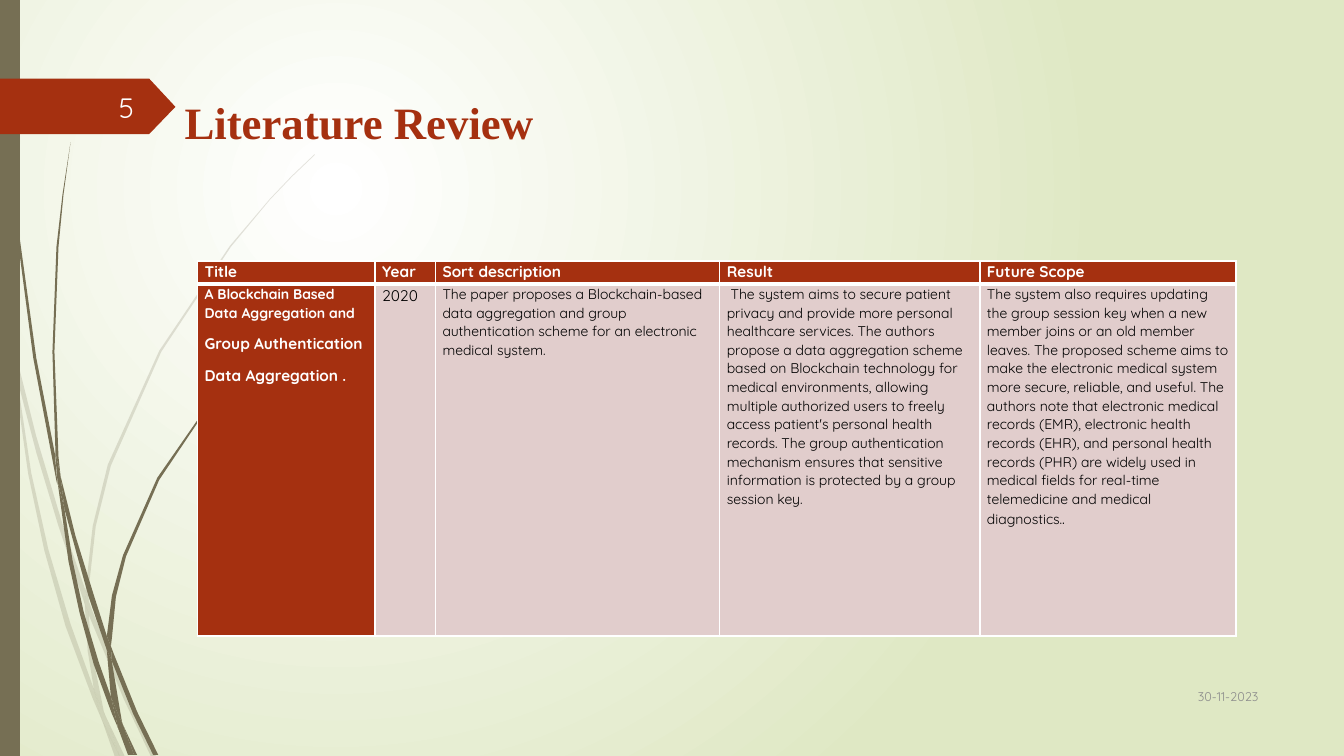
from lxml import etree
from pptx import Presentation
from pptx.dml.color import RGBColor
from pptx.enum.text import MSO_ANCHOR, MSO_AUTO_SIZE, PP_ALIGN
from pptx.oxml.ns import qn
from pptx.util import Inches, Pt

RUST = RGBColor(0xA5, 0x30, 0x10)
OLIVE = RGBColor(0x76, 0x6F, 0x54)
ROSE = RGBColor(0xE1, 0xCD, 0xCC)
PALE_GREEN = RGBColor(0xDF, 0xE8, 0xC4)
WHITE = RGBColor(0xFF, 0xFF, 0xFF)
OFF_WHITE = RGBColor(0xFE, 0xFF, 0xFF)
GREY = RGBColor(0x8C, 0x8C, 0x8C)
BLACK = RGBColor(0, 0, 0)

# Outlines of the grass blades, as corner points in inches
FADED_BLADES = [
    [(0.11, 3.5), (0.09, 3.22), (0, 2.82), (0, 2.99), (0.1, 3.44)],
    [(0.58, 5.22), (0.84, 5.99), (0.85, 5.86), (0.62, 5.2), (0.36, 4.33),
     (0.14, 3.45), (0.17, 3.76), (0.36, 4.49)],
    [(0.92, 6.07), (0.88, 5.96), (0.88, 6.1), (1.23, 6.94), (1.5, 7.51),
     (1.55, 7.51), (1.27, 6.92)],
    [(1.19, 7.51), (1.24, 7.51), (1.05, 7.11)],
    [(0.93, 6.83), (0.7, 6.19), (0.48, 5.45), (0.31, 4.69), (0.17, 3.76),
     (0.11, 3.5), (0.28, 4.7), (0.44, 5.46), (0.65, 6.21), (0.92, 6.93),
     (1.01, 7.14), (0.99, 7.07)],
    [(0.84, 5.99), (0.87, 6.46), (0.93, 6.83), (0.96, 6.92), (1.05, 7.11),
     (1.03, 7.06), (0.91, 6.46), (0.88, 6.1), (0.88, 6.08)],
    [(0.88, 5.84), (0.95, 5.22), (1.1, 4.62), (1.6, 3.49), (2.29, 2.45),
     (2.68, 1.98), (2.9, 1.75), (3.12, 1.54), (3.12, 1.53), (2.89, 1.75),
     (2.68, 1.97), (2.28, 2.44), (1.58, 3.48), (1.07, 4.61), (0.92, 5.22),
     (0.85, 5.84), (0.85, 5.86), (0.88, 5.96)],
    [(1.01, 7.14), (1.14, 7.51), (1.19, 7.51)],
    [(0.88, 6.08), (0.88, 6.1), (0.88, 5.96), (0.85, 5.86), (0.84, 5.99)],
    [(0.96, 6.92), (0.93, 6.83), (0.99, 7.07), (1.01, 7.14), (1.19, 7.51),
     (1.05, 7.11)],
]
SOLID_BLADES = [
    [(0.07, 1.1), (0.17, 2.33), (0.33, 3.55), (0.56, 4.77), (0.57, 4.81),
     (0.55, 4.57), (0.55, 4.53), (0.36, 3.55), (0.19, 2.32), (0.08, 1.09),
     (0.05, 0.48), (0.04, 0), (0.03, 0), (0.04, 0.48)],
    [(0.88, 5.92), (1.06, 6.45), (1.06, 6.33), (1.06, 6.31), (0.93, 5.9),
     (0.75, 5.32), (0.6, 4.72), (0.64, 5.05), (0.76, 5.49)],
    [(1.13, 6.49), (1.1, 6.41), (1.11, 6.56), (1.32, 7.08), (1.52, 7.49),
     (1.57, 7.49), (1.36, 7.06)],
    [(1.1, 6.91), (0.98, 6.57), (0.83, 6.07), (0.72, 5.56), (0.64, 5.05),
     (0.57, 4.77), (0.68, 5.57), (0.79, 6.08), (0.93, 6.59), (1.11, 7.08),
     (1.17, 7.22), (1.16, 7.17)],
    [(0.6, 4.72), (0.58, 4.53), (0.54, 3.49), (0.58, 2.45), (0.63, 1.93),
     (0.7, 1.41), (0.62, 1.93), (0.56, 2.45), (0.52, 3.49), (0.55, 4.49)],
    [(1.33, 7.49), (1.36, 7.49), (1.22, 7.19)],
    [(0.57, 4.77), (0.64, 5.05), (0.6, 4.72), (0.55, 4.49), (0.55, 4.53)],
    [(1.11, 6.33), (1.15, 5.92), (1.25, 5.52), (1.58, 4.76), (2.05, 4.06),
     (2.31, 3.74), (2.45, 3.59), (2.61, 3.44), (2.6, 3.44), (2.45, 3.58),
     (2.31, 3.73), (2.04, 4.05), (1.56, 4.74), (1.22, 5.51), (1.11, 5.91),
     (1.06, 6.31), (1.1, 6.41)],
    [(1.17, 7.22), (1.27, 7.49), (1.31, 7.49)],
    [(1.06, 6.45), (1.1, 6.91), (1.16, 7.06), (1.22, 7.19), (1.21, 7.16),
     (1.11, 6.56), (1.09, 6.51)],
    [(1.06, 6.45), (1.09, 6.51), (1.11, 6.56), (1.1, 6.41), (1.06, 6.31)],
    [(1.16, 7.06), (1.1, 6.91), (1.16, 7.17), (1.17, 7.22), (1.3, 7.49),
     (1.33, 7.49), (1.22, 7.19)],
]
SIDE_BAR = [(0, 0), (0.2, 0), (0.2, 7.5), (0, 7.5)]
PAGE_FLAG = [(0, 0.78), (1.48, 0.78), (1.74, 1.06), (1.48, 1.33), (0, 1.33)]

# Each cell is a list of paragraphs, each paragraph a list of (text, size)
HEADINGS = ["Title", "Year", "Sort description", "Result", "Future Scope"]
REVIEW = [
    [[("A Blockchain Based Data Aggregation and", 10)],
     [("Group Authentication", 11)],
     [("Data Aggregation .", 11)]],
    [[("2020", 11)]],
    [[("The paper proposes a Blockchain-based data aggregation and group "
       "authentication scheme for an electronic medical system.", 10)]],
    [[(" The system aims to secure patient privacy and provide more personal "
       "healthcare services. The authors propose a data aggregation scheme "
       "based on Blockchain technology for medical environments, allowing "
       "multiple authorized users to freely access patient's personal health "
       "records. The group authentication mechanism ensures that sensitive "
       "information is protected by a group session key.", 10)]],
    [[("The system also requires updating the group session key when a new "
       "member joins or an old member leaves. The proposed scheme aims to "
       "make the electronic medical system more secure, reliable, and useful. "
       "The authors note that electronic medical records (EMR), electronic "
       "health records (EHR), and personal health records (PHR) are widely "
       "used in medical fields for real-time telemedicine and medical "
       "diagnostics.", 10), (".", 11)]],
]


class SlideBuilder:
    body_font = "Quicksand"
    title_font = "Times New Roman"
    cell_format = {"margin_left": Inches(0.07), "margin_right": Inches(0.07),
                   "margin_top": 0, "margin_bottom": 0}
    cell_paragraph = {"line_spacing": 1.07, "space_after": Pt(8)}

    def __init__(self, presentation):
        self.slide = presentation.slides.add_slide(presentation.slide_layouts[5])

    def apply(self, target, values):
        for name, value in values.items():
            setattr(target, name, value)

    def place(self, shape, left, top, width, height):
        self.apply(shape, {"left": Inches(left), "top": Inches(top),
                           "width": Inches(width), "height": Inches(height)})

    def add_run(self, paragraph, text, size, color, bold=False, font=None):
        run = paragraph.add_run()
        run.text = text
        self.apply(run.font, {"name": font or self.body_font, "size": Pt(size),
                              "bold": bold})
        run.font.color.rgb = color

    def background(self, center, edge):
        fill = self.slide.background.fill
        fill.gradient()
        for stop, color in zip(fill.gradient_stops, (center, edge)):
            stop.color.rgb = color
        linear = next(self.slide._element.iter(qn("a:lin")))
        radial = etree.Element(qn("a:path"), {"path": "circle"})
        etree.SubElement(radial, qn("a:fillToRect"),
                         {"l": "50000", "t": "50000", "r": "100000", "b": "100000"})
        linear.getparent().replace(linear, radial)

    def outline(self, points, color, opacity=100):
        corners = [(Inches(x), Inches(y)) for x, y in points]
        builder = self.slide.shapes.build_freeform(*corners[0])
        builder.add_line_segments(corners[1:], close=True)
        shape = builder.convert_to_shape()
        shape.shadow.inherit = False
        shape.line.fill.background()
        shape.fill.solid()
        shape.fill.fore_color.rgb = color
        if opacity < 100:
            solid = shape._element.spPr.find(qn("a:solidFill"))
            etree.SubElement(solid[0], qn("a:alpha"), {"val": str(opacity * 1000)})

    def title(self, text, *box):
        shape = self.slide.shapes.title
        self.place(shape, *box)
        self.apply(shape.text_frame, {"vertical_anchor": MSO_ANCHOR.TOP, "word_wrap": True,
                                      "auto_size": MSO_AUTO_SIZE.NONE})
        paragraph = shape.text_frame.paragraphs[0]
        paragraph.alignment = PP_ALIGN.LEFT
        self.add_run(paragraph, text, 32, RUST, True, self.title_font)

    def label(self, text, size, color, *box):
        frame = self.slide.shapes.add_textbox(*map(Inches, box)).text_frame
        self.apply(frame, {"word_wrap": True, "vertical_anchor": MSO_ANCHOR.MIDDLE})
        frame.paragraphs[0].alignment = PP_ALIGN.RIGHT
        self.add_run(frame.paragraphs[0], text, size, color)

    def cell(self, cell, paragraphs, strong, borders):
        self.apply(cell, self.cell_format)
        properties = cell._tc.get_or_add_tcPr()
        for side, width in borders.items():
            line = etree.SubElement(properties, qn(f"a:ln{side}"), {"w": str(Pt(width))})
            solid = etree.SubElement(line, qn("a:solidFill"))
            etree.SubElement(solid, qn("a:srgbClr"), {"val": str(WHITE)})
        cell.fill.solid()
        cell.fill.fore_color.rgb = RUST if strong else ROSE
        for index, runs in enumerate(paragraphs):
            frame = cell.text_frame
            paragraph = frame.add_paragraph() if index else frame.paragraphs[0]
            self.apply(paragraph, self.cell_paragraph)
            for text, size in runs:
                self.add_run(paragraph, text, size, WHITE if strong else BLACK, strong)

    def table(self, rows, widths, heights, left, top):
        table = self.slide.shapes.add_table(
            len(rows), len(widths), Inches(left), Inches(top),
            Inches(sum(widths)), Inches(sum(heights))).table
        self.apply(table, {"first_row": False, "horz_banding": False})
        for column, width in zip(table.columns, widths):
            column.width = Inches(width)
        for r, (cells, height) in enumerate(zip(rows, heights)):
            table.rows[r].height = Inches(height)
            borders = {"L": 1, "R": 1, "T": 3 if r else 1, "B": 1 if r else 3}
            for c, paragraphs in enumerate(cells):
                self.cell(table.cell(r, c), paragraphs, r == 0 or c == 0, borders)


def main():
    presentation = Presentation()
    presentation.slide_width, presentation.slide_height = Inches(13.33), Inches(7.5)
    builder = SlideBuilder(presentation)

    # Background and grass
    builder.background(WHITE, PALE_GREEN)
    for blade in FADED_BLADES:
        builder.outline(blade, OLIVE, 20)
    for blade in SOLID_BLADES + [SIDE_BAR]:
        builder.outline(blade, OLIVE)
    builder.outline(PAGE_FLAG, RUST)

    # Title, date and page number
    builder.title("Literature Review", 1.73, 0.89, 3.95, 0.64)
    builder.label("30-11-2023", 9, GREY, 11.33, 6.7, 1.25, 0.41)
    builder.label("5", 20, OFF_WHITE, 0.58, 0.86, 0.85, 0.4)

    # Review table
    header = [[[(heading, 11)]] for heading in HEADINGS]
    builder.table([header, REVIEW], [1.76, 0.6, 2.82, 2.58, 2.54], [0.23, 3.49], 1.96, 2.59)
    presentation.save("out.pptx")


if __name__ == "__main__":
    main()
